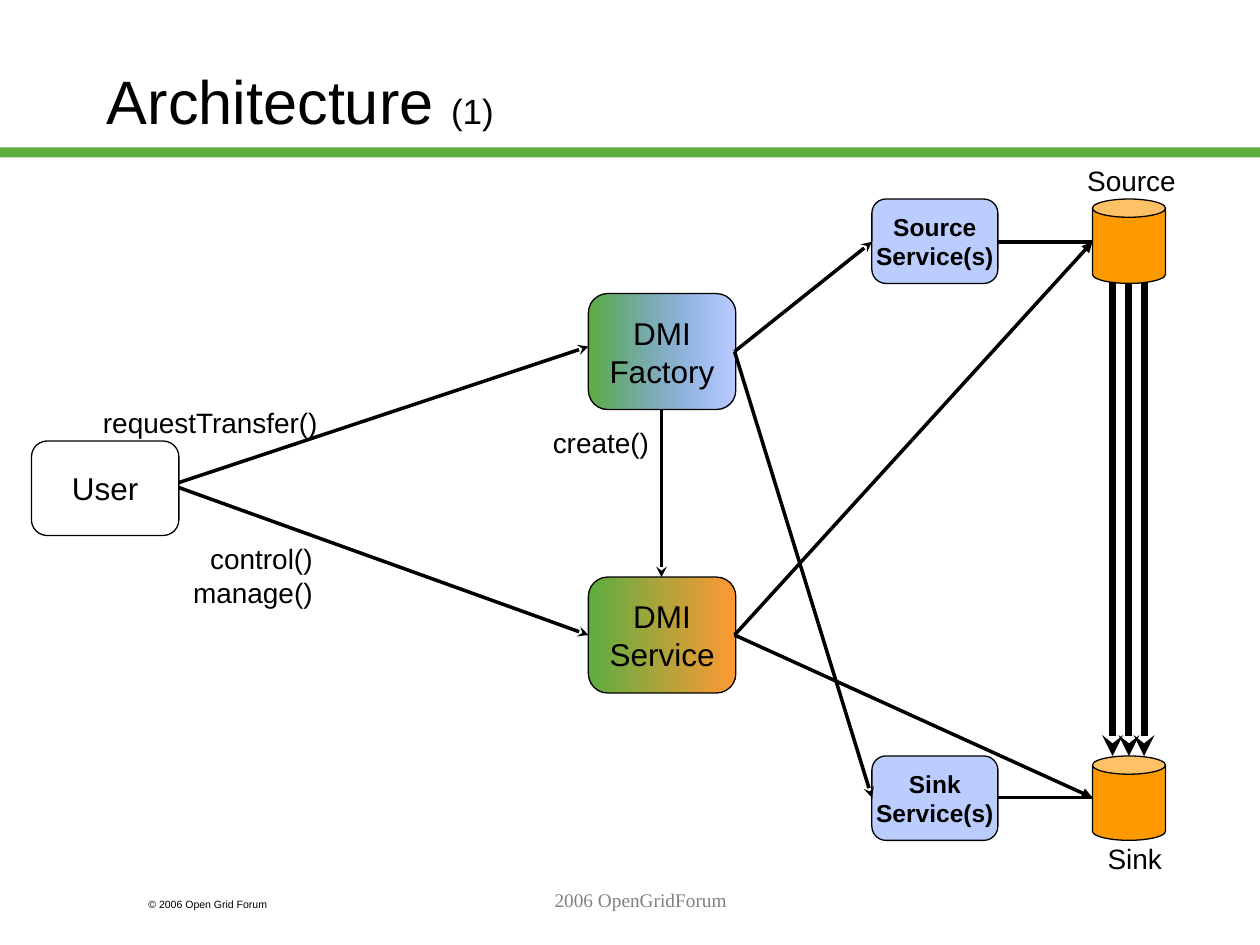
from pptx import Presentation
from pptx.dml.color import RGBColor
from pptx.enum.shapes import MSO_CONNECTOR, MSO_SHAPE
from pptx.enum.text import MSO_ANCHOR, PP_ALIGN
from pptx.oxml.ns import qn
from pptx.util import Inches, Pt
from lxml import etree

RECTANGLE, ROUNDED, CAN = MSO_SHAPE.RECTANGLE, MSO_SHAPE.ROUNDED_RECTANGLE, MSO_SHAPE.CAN
STRAIGHT = MSO_CONNECTOR.STRAIGHT
TOP, MIDDLE = MSO_ANCHOR.TOP, MSO_ANCHOR.MIDDLE
LEFT, CENTER, RIGHT = PP_ALIGN.LEFT, PP_ALIGN.CENTER, PP_ALIGN.RIGHT

BLACK, WHITE, GREY = "000000", "FFFFFF", "808080"
GREEN, BLUE, ORANGE, AMBER = "5DAD41", "1E58FF", "FF9900", "FF9933"


def color(value):
    """Turn a hex string into a colour."""
    return RGBColor.from_string(value)


class Diagram:
    """Hold the style and the current slide."""

    font = "Arial"
    blue_alpha = "30000"

    def __init__(self, slide):
        """Keep the slide to draw on."""
        self.slide = slide

    def label(self, shape, lines, size, align, bold=False, ink=BLACK, font=font):
        """Set one paragraph for each line."""
        frame = shape.text_frame
        frame.text = "\n".join(lines)
        for paragraph in frame.paragraphs:
            paragraph.alignment = align
            paragraph.font.name = font
            paragraph.font.size = Pt(size)
            paragraph.font.bold = bold
            paragraph.font.color.rgb = color(ink)

    def text(self, place, lines, size, align, wrap=False, anchor=TOP, **style):
        """Add a text box."""
        box = self.slide.shapes.add_textbox(*map(Inches, place))
        box.text_frame.word_wrap = wrap
        box.text_frame.vertical_anchor = anchor
        self.label(box, lines, size, align, **style)
        return box

    def shape(self, kind, place, fills, outlined=True):
        """Add a preset shape with a plain fill or a left-to-right gradient."""
        shape = self.slide.shapes.add_shape(kind, *map(Inches, place))
        shape.shadow.inherit = False
        if len(fills) == 1:
            shape.fill.solid()
            shape.fill.fore_color.rgb = color(fills[0])
        else:
            shape.fill.gradient()
            shape.fill.gradient_angle = 0
            for stop, value in zip(shape.fill.gradient_stops, fills):
                stop.color.rgb = color(value)
        for tint in shape._element.spPr.iter(qn("a:srgbClr")):
            if tint.get("val") == BLUE:
                etree.SubElement(tint, qn("a:alpha"), val=self.blue_alpha)
        if outlined:
            shape.line.color.rgb = color(BLACK)
            shape.line.width = Pt(0.75)
        else:
            shape.line.fill.background()
        return shape

    def box(self, place, fills, lines, size=18, bold=False):
        """Add a labelled rounded box."""
        shape = self.shape(ROUNDED, place, fills)
        shape.text_frame.word_wrap = False
        shape.text_frame.vertical_anchor = MIDDLE
        self.label(shape, lines, size, CENTER, bold)

    def line(self, start, end, head=None, width=2):
        """Add a line, with an arrowhead at its end if one is named."""
        line = self.slide.shapes.add_connector(STRAIGHT, *map(Inches, start + end))
        line.line.color.rgb = color(BLACK)
        line.line.width = Pt(width)
        properties = line._element.spPr
        if head:
            etree.SubElement(properties.find(qn("a:ln")), qn("a:tailEnd"), type=head)
        etree.SubElement(properties, qn("a:effectLst"))


def main():
    """Build the architecture slide."""
    presentation = Presentation()
    presentation.slide_width, presentation.slide_height = Inches(10), Inches(7.5)
    diagram = Diagram(presentation.slides.add_slide(presentation.slide_layouts[6]))

    diagram.shape(RECTANGLE, (0, 1.17, 10, 0.08), [GREEN], outlined=False)
    diagram.text((1.08, 7.08, 1.5, 0.2), ["© 2006 Open Grid Forum"], 6, LEFT, wrap=True)
    title = diagram.text((0.75, 0.17, 8.5, 1.25), ["Architecture "], 35, LEFT,
                         wrap=True, anchor=MIDDLE)
    number = title.text_frame.paragraphs[0].add_run()
    number.text = "(1)"
    number.font.size = Pt(20)

    source_top, sink_top = 1.58, 6
    source_y, sink_y = 1.92, 6.33
    for name, top in (("Source", source_top), ("Sink", sink_top)):
        diagram.box((6.92, top, 1, 0.67), [BLUE], [name, "Service(s)"], 14, bold=True)
    diagram.box((4.67, 4.58, 1.17, 0.92), [GREEN, AMBER], ["DMI", "Service"])
    diagram.box((4.67, 2.33, 1.17, 0.92), [GREEN, BLUE], ["DMI", "Factory"])
    diagram.box((0.25, 3.5, 1.17, 0.75), [WHITE], ["User"])

    for place, lines in (
        ((0.71, 3.17, 1.91, 0.37), ["requestTransfer()"]),
        ((4.25, 3.33, 1, 0.37), ["create()"]),
        ((1.43, 4.25, 1.15, 0.64), ["control()", "manage()"]),
        ((8.53, 1.25, 0.9, 0.37), ["Source"]),
        ((8.69, 6.63, 0.63, 0.37), ["Sink"]),
    ):
        diagram.text(place, lines, 16, RIGHT)

    for x, top in ((8.96, 2.25), (8.83, 2.17), (9.08, 2.17)):
        diagram.line((x, top), (x, sink_top), "stealth", 4)
    for y in (source_y, sink_y):
        diagram.line((7.92, y), (8.67, y))
    for top in (source_top, sink_top):
        diagram.shape(CAN, (8.67, top, 0.58, 0.67), [ORANGE])

    for y in (source_y, sink_y):
        diagram.line((5.83, 5.04), (8.67, y), "triangle")
        diagram.line((5.83, 2.79), (6.92, y), "stealth")
    diagram.line((5.25, 3.25), (5.25, 4.58), "stealth")
    diagram.line((1.42, 3.83), (4.67, 2.75), "stealth")
    diagram.line((1.42, 3.87), (4.67, 5.04), "stealth")

    diagram.text((2.17, 7, 5.83, 0.5), ["2006 OpenGridForum"], 11, CENTER,
                 wrap=True, ink=GREY, font="Times New Roman")
    presentation.save("out.pptx")


if __name__ == "__main__":
    main()
